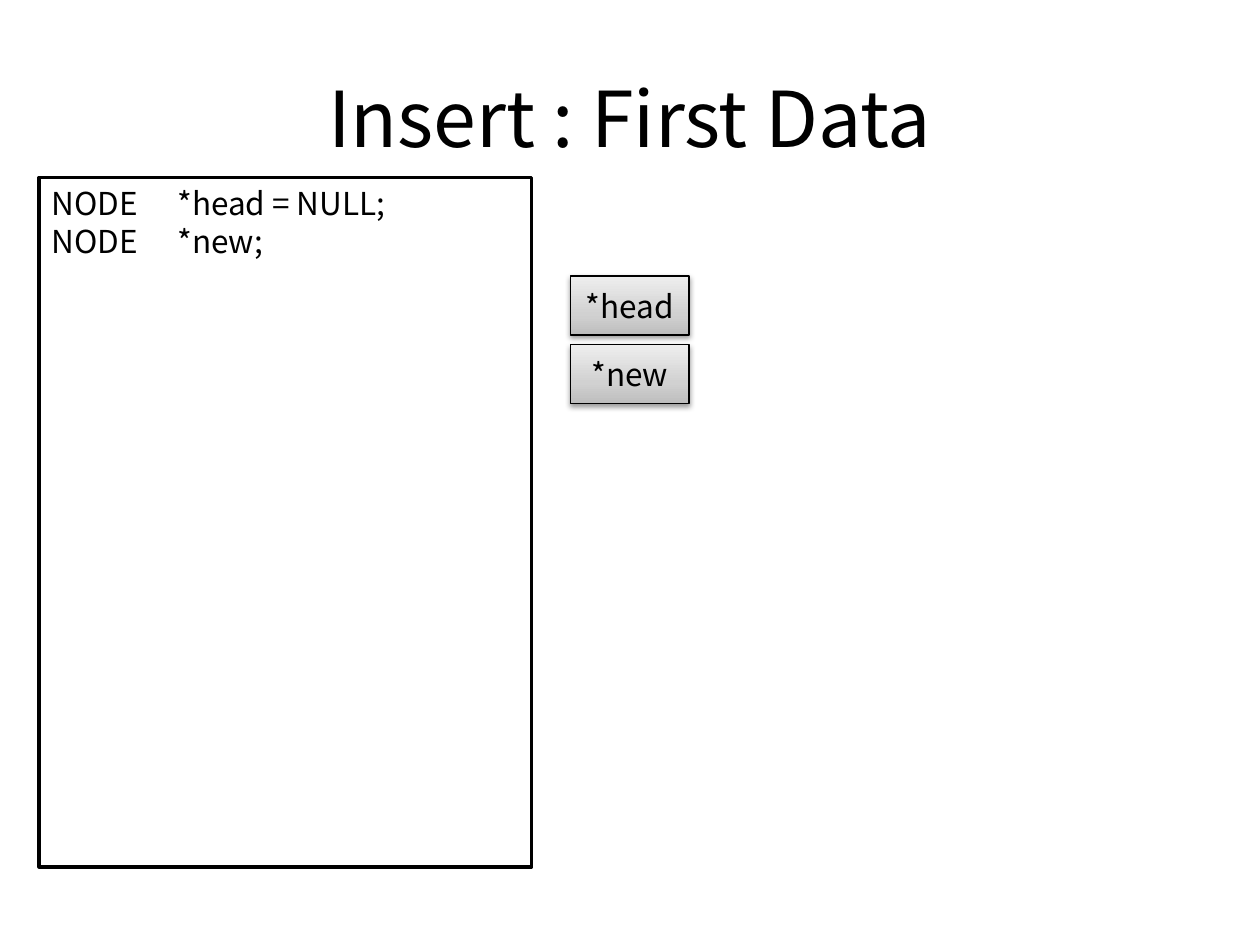
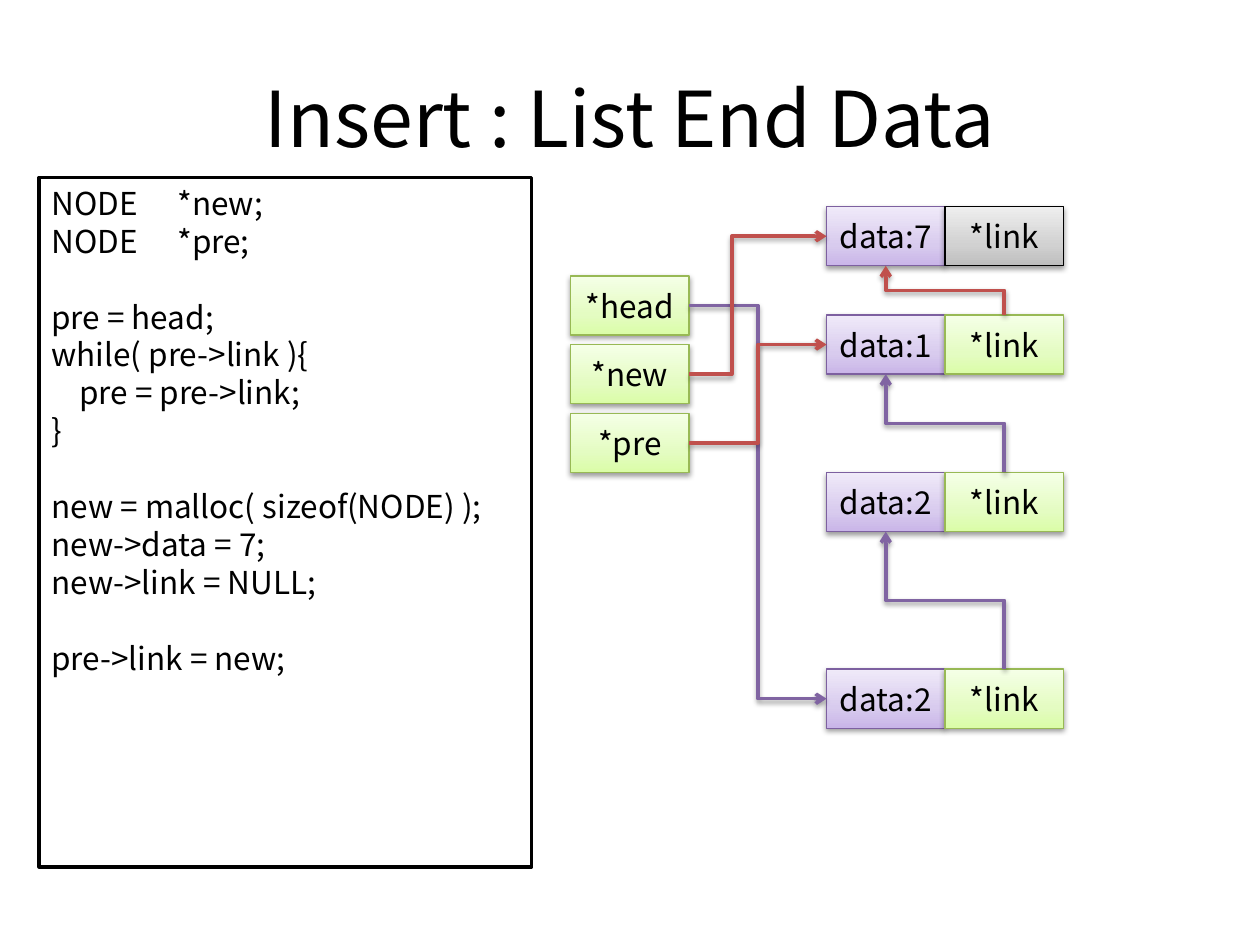
from copy import deepcopy
from dataclasses import dataclass

from lxml import etree
from pptx import Presentation
from pptx.dml.color import RGBColor
from pptx.enum import shapes, text
from pptx.oxml import parse_xml
from pptx.oxml.ns import nsdecls, qn
from pptx.util import Inches, Pt

COLORS = {"ink": "000000", "paper": "FFFFFF", "chain": "8064A2", "change": "C0504D"}
FONT = "Noto Sans CJK KR"
LINE_PITCH = 21.66  # points between code lines
BOX_W, BOX_H = 0.94, 0.47
POINTER_X, POINTER_TOP, POINTER_PITCH = 4.53, 2.19, 0.545
DATA_X = 6.56
LINK_X = DATA_X + BOX_W


@dataclass(frozen=True)
class Style:
    """Gradient from bottom to top, and outline."""
    stops: tuple[str, str, str]
    line: str


@dataclass(frozen=True)
class Code:
    """A line of code, with an optional gap above and indent."""
    text: str
    gap: bool = False
    indent: float = 0


@dataclass(frozen=True)
class Node:
    """A list node: data cell and link cell side by side."""
    data: str
    top: float
    link_style: str = "green"

    @property
    def middle(self) -> float:
        return self.top + BOX_H / 2


STYLES = {
    "gray": Style(("BDBDBD", "D1D1D1", "EEEEEE"), "000000"),
    "green": Style(("DAFDA7", "E4FCC2", "F5FFE7"), "98B955"),
    "purple": Style(("C9B5E8", "D8CBEE", "F0EAF9"), "7D60A0"),
}


def rgb(value: str) -> RGBColor:
    return RGBColor.from_string(value)


def format_text(p, content: str, *, size: float = 18, align=text.PP_ALIGN.LEFT) -> None:
    p.alignment = align
    r = p.add_run()
    r.text = content
    r.font.size, r.font.name = Pt(size), FONT
    r.font.color.rgb = rgb(COLORS["ink"])
    # The same face for East Asian text
    etree.SubElement(r.font._element, qn("a:ea")).set("typeface", FONT)


def add_shadow(shape) -> None:
    sp_pr = shape._element.spPr
    for old in sp_pr.findall(qn("a:effectLst")):
        sp_pr.remove(old)
    sp_pr.append(parse_xml(
        f'<a:effectLst {nsdecls("a")}><a:outerShdw blurRad="{Pt(3.1)}" dist="{Pt(1.6)}" '
        f'dir="5400000" rotWithShape="0"><a:srgbClr val="{COLORS["ink"]}">'
        '<a:alpha val="38000"/></a:srgbClr></a:outerShdw></a:effectLst>'))


def add_rect(s, x: float, y: float, w: float, h: float, line: str, width: float):
    sp = s.shapes.add_shape(shapes.MSO_SHAPE.RECTANGLE,
                            Inches(x), Inches(y), Inches(w), Inches(h))
    sp.shadow.inherit = False
    sp.line.color.rgb, sp.line.width = rgb(line), Pt(width)
    return sp


def add_title(s, content: str) -> None:
    tf = s.shapes.add_textbox(Inches(0.5), Inches(0.3), Inches(9), Inches(1.25)).text_frame
    tf.word_wrap = True
    tf.vertical_anchor = text.MSO_ANCHOR.MIDDLE
    format_text(tf.paragraphs[0], content, size=44, align=text.PP_ALIGN.CENTER)


def add_code(s, lines: list[Code]) -> None:
    sp = add_rect(s, 0.31, 1.41, 3.91, 5.47, COLORS["ink"], 2)
    sp.fill.solid()
    sp.fill.fore_color.rgb = rgb(COLORS["paper"])
    tf = sp.text_frame
    tf.vertical_anchor = text.MSO_ANCHOR.TOP
    for i, code in enumerate(lines):
        p = tf.add_paragraph() if i else tf.paragraphs[0]
        p.line_spacing = Pt(LINE_PITCH)
        p.space_before = Pt(LINE_PITCH if code.gap else 0)
        if code.indent:
            p._p.get_or_add_pPr().set("marL", str(Inches(code.indent)))
        format_text(p, code.text)


def add_box(s, content: str, x: float, y: float, style_name: str) -> None:
    style = STYLES[style_name]
    sp = add_rect(s, x, y, BOX_W, BOX_H, style.line, 0.75)
    sp.fill.gradient()
    sp.fill.gradient_angle = 90
    stop_list = sp._element.spPr.find(qn("a:gradFill")).find(qn("a:gsLst"))
    stop_list.append(deepcopy(stop_list[0]))
    for stop, position, color in zip(sp.fill.gradient_stops, (0, 0.35, 1), style.stops):
        stop.position, stop.color.rgb = position, rgb(color)
    add_shadow(sp)
    tf = sp.text_frame
    tf.word_wrap = False
    tf.vertical_anchor = text.MSO_ANCHOR.MIDDLE
    format_text(tf.paragraphs[0], content, align=text.PP_ALIGN.CENTER)


def add_pointers(s, names: list[str], style: str) -> None:
    for i, name in enumerate(names):
        add_box(s, name, POINTER_X, POINTER_TOP + i * POINTER_PITCH, style)


def add_arrow(s, x1: float, y1: float, x2: float, y2: float, color: str,
              bend: float = 0.5, upright: bool = False) -> None:
    """Elbow arrow; an upright one leaves upwards and ends to the left."""
    if upright:
        # Lay the elbow on its side around its centre, then turn it
        cx, cy = (x1 + x2) / 2, (y1 + y2) / 2
        w, h = y1 - y2, x1 - x2
        x1, x2, y1, y2 = cx - w / 2, cx + w / 2, cy + h / 2, cy - h / 2
    c = s.shapes.add_connector(shapes.MSO_CONNECTOR.ELBOW,
                               Inches(x1), Inches(y1), Inches(x2), Inches(y2))
    sp_pr = c._element.spPr
    if upright:
        sp_pr.find(qn("a:xfrm")).set("rot", str(270 * 60000))
    guides = sp_pr.find(qn("a:prstGeom")).find(qn("a:avLst"))
    guide = etree.SubElement(guides, qn("a:gd"))
    guide.set("name", "adj1")
    guide.set("fmla", f"val {round(bend * 100000)}")
    c.line.color.rgb, c.line.width = rgb(COLORS[color]), Pt(2)
    etree.SubElement(sp_pr.find(qn("a:ln")), qn("a:tailEnd")).set("type", "arrow")
    add_shadow(c)


def add_pointer_arrow(s, row: int, node: Node, color: str, bend: float = 0.5) -> None:
    y = POINTER_TOP + row * POINTER_PITCH + BOX_H / 2
    add_arrow(s, POINTER_X + BOX_W, y, DATA_X, node.middle, color, bend)


def add_slide(prs, title: str, lines: list[Code]):
    s = prs.slides.add_slide(prs.slide_layouts[6])
    add_title(s, title)
    add_code(s, lines)
    return s


def first_data_slide(prs) -> None:
    s = add_slide(prs, "Insert : First Data",
                  [Code("NODE\t*head = NULL;"), Code("NODE\t*new;")])
    add_pointers(s, ["*head", "*new"], "gray")


def list_end_slide(prs) -> None:
    s = add_slide(prs, "Insert : List End Data", [
        Code("NODE\t*new;"),
        Code("NODE\t*pre;"),
        Code("pre = head;", gap=True),
        Code("while( pre->link ){"),
        Code("pre = pre->link;", indent=0.22),
        Code("}"),
        Code("new = malloc( sizeof(NODE) );", gap=True),
        Code("new->data = 7;"),
        Code("new->link = NULL;"),
        Code("pre->link = new;", gap=True),
    ])
    add_pointers(s, ["*head", "*new", "*pre"], "green")

    # Nodes from the end of the list down to its head
    nodes = [Node("data:7", 1.64, "gray"), Node("data:1", 2.5),
             Node("data:2", 3.75), Node("data:2", 5.31)]
    for node in nodes:
        add_box(s, node.data, DATA_X, node.top, "purple")
        add_box(s, "*link", LINK_X, node.top, node.link_style)

    # Links between nodes; the one to the new node is highlighted
    for target, source in zip(nodes, nodes[1:]):
        add_arrow(s, LINK_X + BOX_W / 2, source.top, DATA_X + BOX_W / 2, target.top + BOX_H,
                  "change" if target is nodes[0] else "chain", upright=True)

    # Pointers to nodes
    add_pointer_arrow(s, 0, nodes[3], "chain")
    add_pointer_arrow(s, 2, nodes[1], "change")
    add_pointer_arrow(s, 1, nodes[0], "change", bend=0.31)


def main() -> None:
    prs = Presentation()
    prs.slide_width, prs.slide_height = Inches(10), Inches(7.5)
    first_data_slide(prs)
    list_end_slide(prs)
    prs.save("out.pptx")


main()
